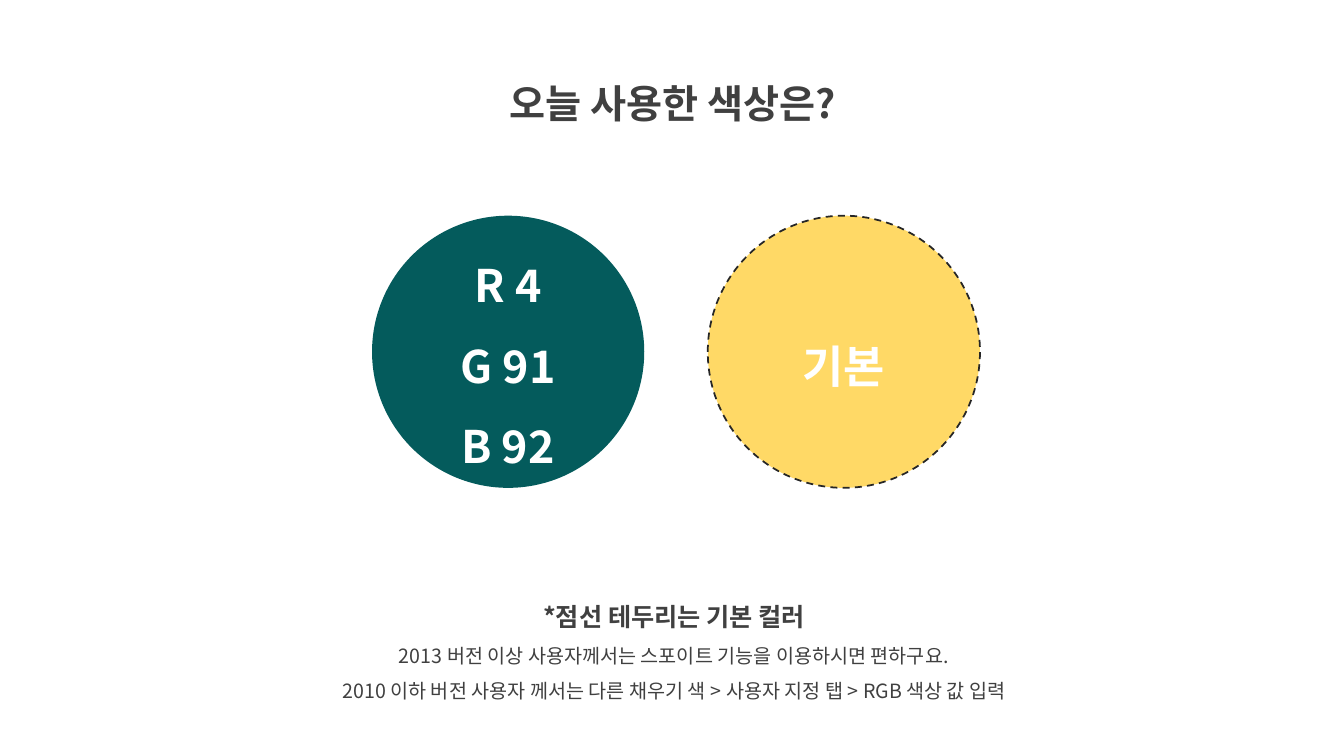
from lxml.etree import SubElement
from pptx import Presentation
from pptx.dml.color import RGBColor
from pptx.enum.dml import MSO_LINE
from pptx.enum.shapes import MSO_SHAPE
from pptx.enum.text import MSO_ANCHOR, MSO_AUTO_SIZE, PP_ALIGN
from pptx.oxml.ns import qn
from pptx.util import Inches, Pt

COLORS = {
    "text": "404040",
    "teal": "045B5C",
    "yellow": "FFD966",
    "outline": "262626",
    "white": "FFFFFF",
}


class ColorSlide:
    font = "Noto Sans CJK KR"
    line_spacing = 1.5

    def __init__(self, prs):
        self.s = prs.slides.add_slide(prs.slide_layouts[6])

    def color(self, name):
        return RGBColor.from_string(COLORS[name])

    def add_lines(self, tf, lines, color):
        """Fill a text frame with (text, size, bold) lines."""
        tf.word_wrap = True
        for i, (text, size, bold) in enumerate(lines):
            p = tf.add_paragraph() if i else tf.paragraphs[0]
            p.alignment = PP_ALIGN.CENTER
            p.line_spacing = self.line_spacing
            r = p.add_run()
            r.text = text
            r.font.size = Pt(size)
            r.font.bold = bold
            r.font.color.rgb = self.color(color)
            r.font.name = self.font
            # Korean glyphs take the East Asian typeface
            SubElement(r.font._element, qn("a:ea"), typeface=self.font)

    def text(self, x, y, w, h, lines):
        sp = self.s.shapes.add_textbox(Inches(x), Inches(y), Inches(w), Inches(h))
        self.add_lines(sp.text_frame, lines, "text")
        sp.text_frame.auto_size = MSO_AUTO_SIZE.SHAPE_TO_FIT_TEXT

    def circle(self, x, y, size, fill, labels, dashed=False):
        sp = self.s.shapes.add_shape(
            MSO_SHAPE.OVAL, Inches(x), Inches(y), Inches(size), Inches(size))
        sp.shadow.inherit = False
        sp.fill.solid()
        sp.fill.fore_color.rgb = self.color(fill)
        if dashed:
            sp.line.color.rgb = self.color("outline")
            sp.line.width = Pt(1.25)
            sp.line.dash_style = MSO_LINE.DASH
        else:
            sp.line.fill.background()
        sp.text_frame.vertical_anchor = MSO_ANCHOR.MIDDLE
        self.add_lines(sp.text_frame, [(label, 32, True) for label in labels], "white")


def main():
    prs = Presentation()
    prs.slide_width, prs.slide_height = Inches(13.33), Inches(7.5)
    slide = ColorSlide(prs)

    # Title
    slide.text(4.36, 0.5, 4.63, 0.72, [("오늘 사용한 색상은?", 28, True)])

    # Notes on picking the colours
    slide.text(2.69, 5.77, 7.99, 1.26, [
        ("*점선 테두리는 기본 컬러", 18, True),
        ("2013 버전 이상 사용자께서는 스포이트 기능을 이용하시면 편하구요.", 14, False),
        ("2010 이하 버전 사용자 께서는 다른 채우기 색 > 사용자 지정 탭 > RGB 색상 값 입력",
         14, False),
    ])

    # Colour swatches
    slide.circle(3.69, 2.14, 2.7, "teal", ["R 4", "G 91", "B 92"])
    slide.circle(7.02, 2.14, 2.7, "yellow", ["기본"], dashed=True)

    prs.save("out.pptx")


if __name__ == "__main__":
    main()
